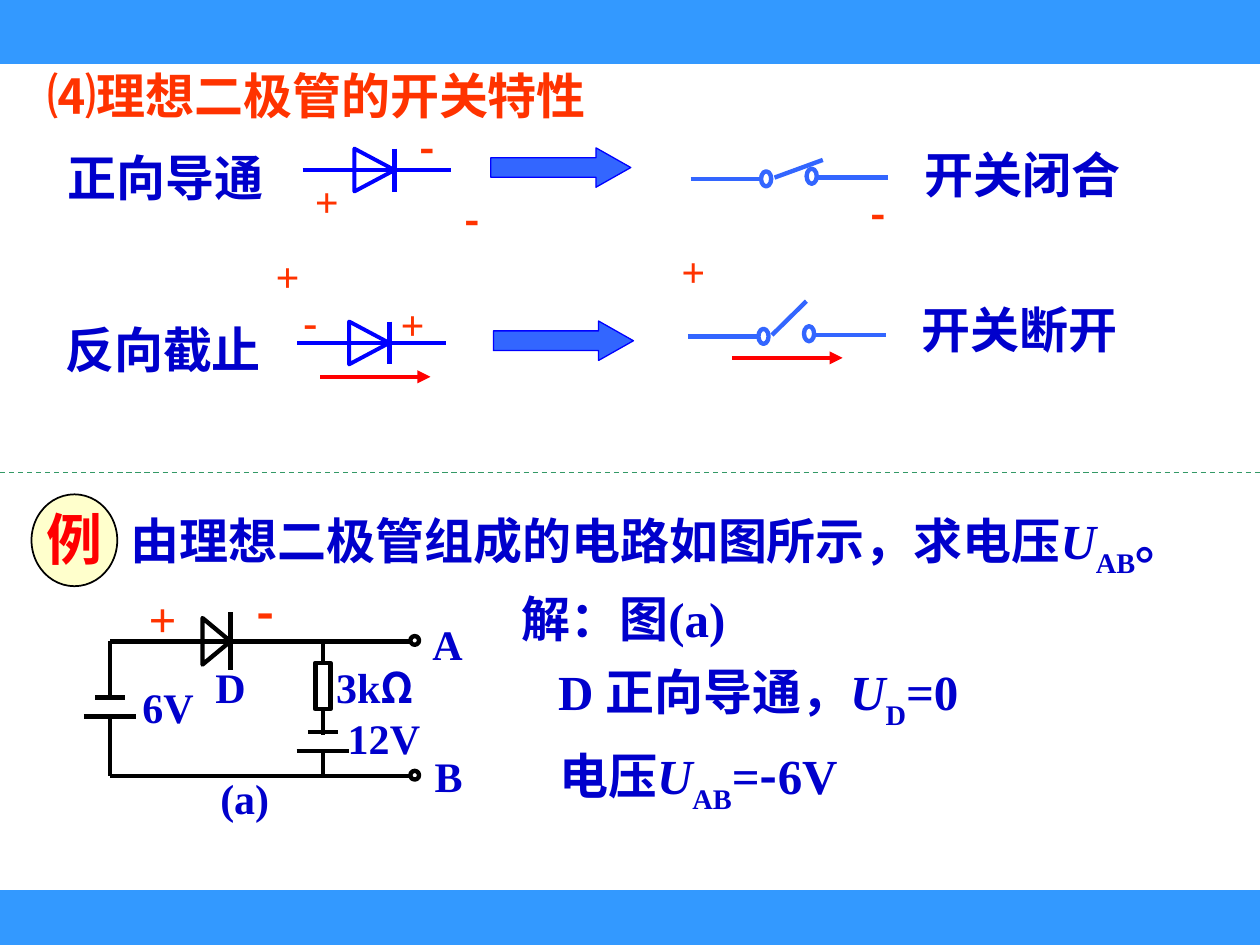
import pptx
import pptx.util
import pptx.dml.color
import pptx.enum.dml
import pptx.enum.shapes
import pptx.enum.text
import pptx.oxml
import pptx.oxml.ns

Pt = pptx.util.Pt
SHAPE = pptx.enum.shapes.MSO_SHAPE
qn = pptx.oxml.ns.qn
SERIF = "Times New Roman"
SANS = "Noto Sans CJK SC"
COLORS = {
    "band": "3399FF", "heading": "FF3300", "text": "0000CC", "red": "FF0000",
    "diode": "0000FF", "switch": "3366FF", "divider": "339966",
    "badge": "FFFFCC", "black": "000000", "white": "FFFFFF",
}


def rgb(name):
    return pptx.dml.color.RGBColor.from_string(COLORS[name])


def add_child(parent, tag, **attrs):
    child = parent.makeelement(qn(tag), attrs)
    parent.append(child)
    return child


def add_shape(s, kind, x, y, w, h, fill, line, width=2.5):
    sp = s.shapes.add_shape(kind, Pt(x), Pt(y), Pt(w), Pt(h))
    sp.shadow.inherit = False
    sp.fill.solid()
    sp.fill.fore_color.rgb = rgb(fill)
    sp.line.color.rgb = rgb(line)
    sp.line.width = Pt(width)
    return sp


def add_line(s, x1, y1, x2, y2, color="black", width=2.5, arrow=False):
    ln = s.shapes.add_connector(pptx.enum.shapes.MSO_CONNECTOR.STRAIGHT,
                                Pt(x1), Pt(y1), Pt(x2), Pt(y2))
    ln.line.color.rgb = rgb(color)
    ln.line.width = Pt(width)
    if arrow:
        add_child(ln.line._get_or_add_ln(), "a:tailEnd", type="triangle")
    add_child(ln._element.spPr, "a:effectLst")
    return ln


def fill_text(tf, runs, size, color, margins=(7.2, 3.6)):
    """Each run is (text, style); style holds i italic, s subscript, n sans."""
    tf.word_wrap = True
    tf.auto_size = pptx.enum.text.MSO_AUTO_SIZE.NONE
    tf.vertical_anchor = pptx.enum.text.MSO_ANCHOR.TOP
    tf.margin_left = tf.margin_right = Pt(margins[0])
    tf.margin_top = tf.margin_bottom = Pt(margins[1])
    p = tf.paragraphs[0]
    p.alignment = pptx.enum.text.PP_ALIGN.LEFT
    p.space_before = Pt(0)
    for text, style in runs:
        r = p.add_run()
        r.text = text
        r.font.size = Pt(size)
        r.font.bold = True
        r.font.italic = "i" in style
        r.font.color.rgb = rgb(color)
        r.font.name = SANS if "n" in style else SERIF
        rPr = r._r.get_or_add_rPr()
        add_child(rPr, "a:ea", typeface=SANS)
        if "s" in style:
            rPr.set("baseline", "-30000")
    return p


def add_text(s, x, y, w, h, runs, size=28, color="text", **options):
    box = s.shapes.add_textbox(Pt(x), Pt(y), Pt(w), Pt(h))
    return fill_text(box.text_frame, runs, size, color, **options)


def add_sign(s, x, y, sign, style="", size=24):
    add_text(s, x, y, 33, 36, [(sign, style)], size, "heading")


def add_diode(s, cx, y, base, depth, bar, left, right, color, width):
    """Triangle pointing right, centred on (cx, y), with bar and wire."""
    tip = cx + depth / 2
    add_line(s, tip, y - bar / 2, tip, y + bar / 2, color)
    tri = add_shape(s, SHAPE.ISOSCELES_TRIANGLE, cx - base / 2, y - depth / 2,
                    base, depth, "white", color, width)
    tri.rotation = 90
    add_line(s, left, y, right, y, color, width)


def add_switch(s, x, y, tip_dx, tip_dy):
    add_line(s, x, y, x + 40, y, "switch")
    add_line(s, x + 73, y - 0.7, x + 113, y - 0.7, "switch")
    add_line(s, x + 48, y - 0.7, x + tip_dx, y + tip_dy, "switch")
    for dx, dy in ((40.3, -4.3), (66.3, -5.8)):
        add_shape(s, SHAPE.OVAL, x + dx, y + dy, 5.8, 8.6, "white", "switch")


def add_block_arrow(s, x, y):
    sp = add_shape(s, SHAPE.RIGHT_ARROW, x, y, 80, 22.5, "switch", "diode", 0.75)
    sp.adjustments[1] = 0.883


def add_battery(s, x, y):
    for half, dy in ((8.5, 0), (15, 11)):
        add_line(s, x - half, y + dy, x + half, y + dy)


def add_bands(s):
    add_shape(s, SHAPE.RECTANGLE, 0, 510, 720, 30, "band", "band", 3)
    add_shape(s, SHAPE.RECTANGLE, 0, 0, 720, 36.5, "band", "band", 0)


def add_comparison(s):
    for x, y, label in ((31.7, 80.6, "正向导通"), (30.2, 179.3, "反向截止"),
                        (521.3, 79.2, "开关闭合"), (519.8, 167.8, "开关断开")):
        add_text(s, x, y, 147, 41, [(label, "n")])
    for left, y in ((173, 97.2), (170, 196)):
        add_diode(s, left + 41, y, 24.5, 23, 24.5, left, left + 85, "diode", 2.25)
    add_block_arrow(s, 280.5, 84.5)
    add_block_arrow(s, 282, 183.5)
    add_switch(s, 394.6, 102.2, 75.6, -10.8)
    add_switch(s, 393.1, 192.2, 67.7, -20.1)
    for x, y in ((183, 215.3), (418.5, 204.5)):
        add_line(s, x, y, x + 63, y, "red", arrow=True)
    for x, y in ((172.8, 96.5), (150.5, 139.7), (382.3, 136.5), (221.8, 167)):
        add_sign(s, x, y, "+")
    for x, y in ((232.6, 66.2), (258.5, 107.3), (490.3, 103.7)):
        add_sign(s, x, y, "-", "n")
    add_sign(s, 166.3, 165.6, "-")


def add_question(s):
    divider = add_line(s, 0, 270, 720, 270, "divider", 0.75)
    divider.line.dash_style = pptx.enum.dml.MSO_LINE.DASH
    add_shape(s, SHAPE.OVAL, 18, 282.5, 49, 52.5, "badge", "black", 1)
    add_text(s, 19.4, 285, 50, 45, [("例", "")], 32, "red")
    p = add_text(s, 27.4, 288, 687, 41, [
        ("由理想二极管组成的电路如图所示，求电压", ""), ("U", "i"), ("AB", "s"), ("。", "")])
    p._p.get_or_add_pPr().set("indent", str(Pt(40.3)))


def add_circuit(s):
    top, bottom, left, branch, right = 366.5, 443.5, 63, 184.5, 234.5
    for x, y, w, runs in ((118.8, 437.8, 50, [("(a)", "")]),
                          (185, 374.4, 78, [("3k", ""), ("Ω", "n")]),
                          (74.2, 386, 49, [("6V", "")]),
                          (116, 374.4, 34, [("D", "")])):
        add_text(s, x, y, w, 36, runs, 24)
    for x, y, label in ((198.7, 407, "12V"), (247, 353.5, "A"), (248.4, 429, "B")):
        add_text(s, x, y, 48, 28, [(label, "")], 24, margins=(0, 0))
    add_diode(s, 123.7, top, 26.6, 16, 33, 111.6, 154.8, "black", 2.5)
    for y in (top, bottom):
        add_line(s, left, y, right, y)
        add_shape(s, SHAPE.OVAL, right, y - 3, 5, 5, "white", "black")
    for x, y1, y2 in ((left, top, 400), (left, 408.5, bottom), (branch, top, 379.5),
                      (branch, 406, 420), (branch, 429.5, bottom)):
        add_line(s, x, y1, x, y2)
    add_shape(s, SHAPE.RECTANGLE, branch - 4.3, 378.7, 8.6, 26.6, "white", "black")
    add_battery(s, left, 398.5)
    add_battery(s, branch, 418.2)
    add_sign(s, 77.8, 332.6, "+", size=28)
    add_sign(s, 139.7, 329, "-", "n", 28)


def add_solution(s):
    add_text(s, 291, 332.6, 171, 41, [("解：图(a)", "")])
    add_text(s, 311.8, 374.4, 282, 41, [
        ("D 正", ""), ("向导通，", "n"), ("U", "i"), ("D", "s"), ("=0", "")])
    add_text(s, 312.5, 422.6, 230, 41, [
        ("电压", ""), ("U", "i"), ("AB", "s"), ("=", ""), ("-", "n"), ("6V", "")])


def main():
    prs = pptx.Presentation()
    prs.slide_width, prs.slide_height = Pt(720), Pt(540)
    s = prs.slides.add_slide(prs.slide_layouts[5])
    add_bands(s)
    title = s.shapes.title
    title.left, title.top, title.width, title.height = Pt(20), Pt(34), Pt(340), Pt(41)
    fill_text(title.text_frame, [("⑷理想二极管的开关特性", "")], 28, "heading")
    add_comparison(s)
    add_question(s)
    add_circuit(s)
    add_solution(s)
    prs.save("out.pptx")


if __name__ == "__main__":
    main()
